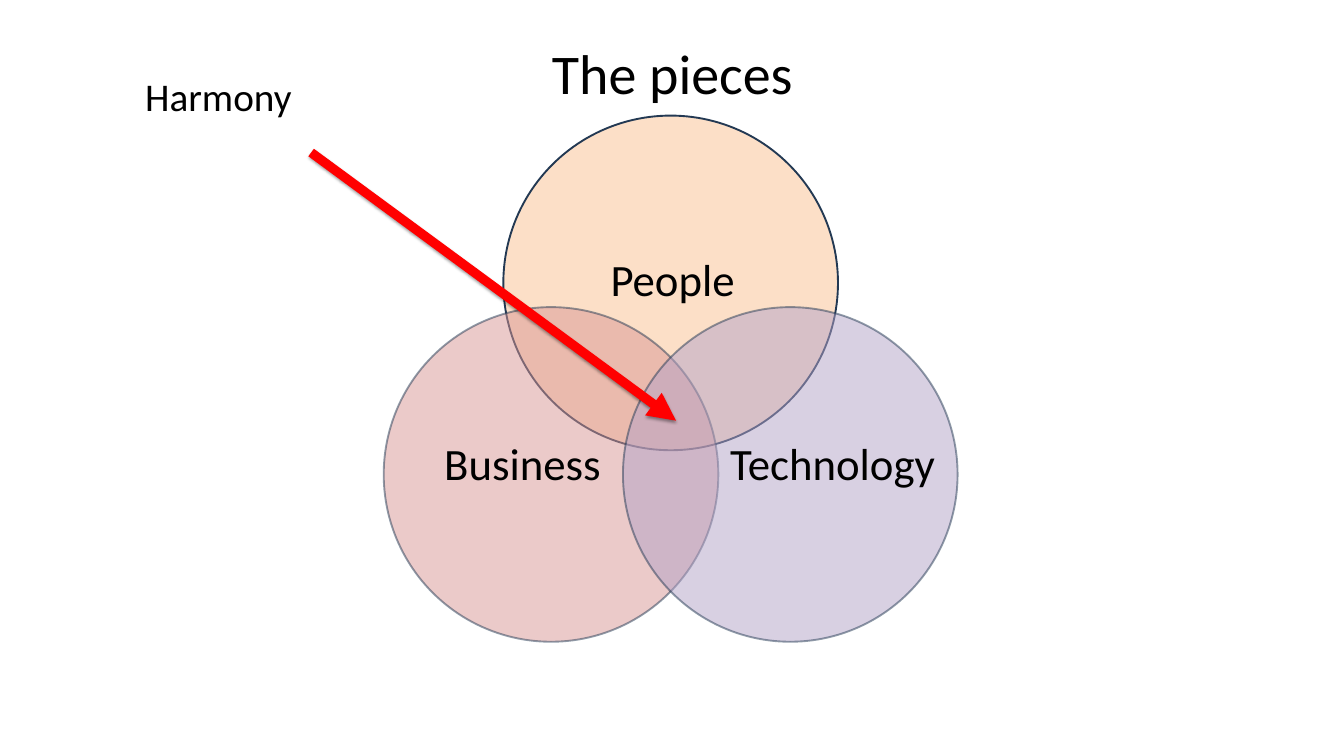
import pptx
import pptx.dml.color
import pptx.enum.shapes
import pptx.enum.text
import pptx.oxml
import pptx.oxml.ns
import pptx.util

RGBColor = pptx.dml.color.RGBColor
BLACK = RGBColor(0x00, 0x00, 0x00)
NAVY = RGBColor(0x23, 0x39, 0x53)
PEACH = RGBColor(0xFA, 0xC0, 0x90)
ROSE = RGBColor(0xD9, 0x96, 0x94)
LILAC = RGBColor(0xB3, 0xA2, 0xC7)
RED = RGBColor(0xFF, 0x00, 0x00)

FONT = "Calibri"
COLUMNS, ROWS = 20, 11.25  # square grid cells across and down the slide
CELL = pptx.util.Inches(1)
DIAMETER = 4.98
HALF = 50  # percent opacity


def cells(*lengths):
    return [round(length * CELL) for length in lengths]


def set_opacity(fill_owner, percent):
    for colour in fill_owner.iter(pptx.oxml.ns.qn("a:srgbClr")):
        alpha = colour.makeelement(pptx.oxml.ns.qn("a:alpha"), {"val": str(percent * 1000)})
        colour.append(alpha)


def write(shape, text, size=48, colour=BLACK, align=pptx.enum.text.PP_ALIGN.CENTER):
    frame = shape.text_frame
    frame.word_wrap = True
    frame.auto_size = pptx.enum.text.MSO_AUTO_SIZE.SHAPE_TO_FIT_TEXT
    frame.vertical_anchor = pptx.enum.text.MSO_ANCHOR.TOP
    para = frame.paragraphs[0]
    para.alignment = align
    span = para.add_run()
    span.text = text
    span.font.name = FONT
    span.font.size = pptx.util.Pt(size)
    span.font.color.rgb = colour


def add_label(page, box, text, **format_options):
    write(page.shapes.add_textbox(*cells(*box)), text, **format_options)


def place_title(page, box, text):
    title = page.shapes.title
    title.left, title.top, title.width, title.height = cells(*box)
    write(title, text, size=60)


def add_circle(page, left, top, fill, line_opacity):
    circle = page.shapes.add_shape(
        pptx.enum.shapes.MSO_SHAPE.OVAL, *cells(left, top, DIAMETER, DIAMETER))
    circle.shadow.inherit = False
    circle.fill.solid()
    circle.fill.fore_color.rgb = fill
    set_opacity(circle.fill._xPr.find(pptx.oxml.ns.qn("a:solidFill")), HALF)
    circle.line.color.rgb = NAVY
    circle.line.width = pptx.util.Pt(2)
    if line_opacity < 100:
        set_opacity(circle.line._get_or_add_ln(), line_opacity)


def add_venn(page, box):
    left, top, width, height = box
    right, bottom = left + width - DIAMETER, top + height - DIAMETER
    middle = left + width / 2

    # Overlapping circles
    add_circle(page, middle - DIAMETER / 2, top, PEACH, 100)
    add_circle(page, left, bottom, ROSE, HALF)
    add_circle(page, right, bottom, LILAC, HALF)

    # Circle names, the lower two on one line
    label_height = 0.91
    lower = bottom + 1.86
    add_label(page, (left + width - 3.72, lower, 3.72, label_height), "Technology")
    add_label(page, (left + 0.34, lower, 3.45, label_height), "Business")
    add_label(page, (middle - 1.2, top + 1.98, 2.46, label_height), "People")


def add_arrow(page, start, end):
    arrow = page.shapes.add_connector(
        pptx.enum.shapes.MSO_CONNECTOR.STRAIGHT, *cells(*start, *end))
    arrow.line.color.rgb = RED
    arrow.line.width = pptx.util.Pt(10)
    namespace = pptx.oxml.ns.nsdecls("a")
    arrow.line._get_or_add_ln().append(
        pptx.oxml.parse_xml(f'<a:tailEnd {namespace} type="triangle"/>'))
    arrow._element.spPr.append(pptx.oxml.parse_xml(
        f'<a:effectLst {namespace}>'
        '<a:outerShdw blurRad="40000" dist="20000" dir="5400000" rotWithShape="0">'
        '<a:srgbClr val="000000"><a:alpha val="38000"/></a:srgbClr>'
        '</a:outerShdw></a:effectLst>'))


def add_callout(page, box, text, target):
    left, top, width, height = box
    add_arrow(page, (left + width - 0.2, top + height + 0.44), target)
    add_label(page, box, text, size=42)


def main():
    deck = pptx.Presentation()
    deck.slide_width, deck.slide_height = cells(COLUMNS, ROWS)
    page = deck.slides.add_slide(deck.slide_layouts.get_by_name("Title Only"))
    place_title(page, (7.14, 0.53, 5.73, 1.11), "The pieces")
    add_venn(page, (5.71, 1.72, 8.54, 7.83))
    add_callout(page, (1.67, 1.02, 3.16, 0.81), "Harmony", target=(10.06, 6.26))
    deck.save("out.pptx")


if __name__ == "__main__":
    main()
